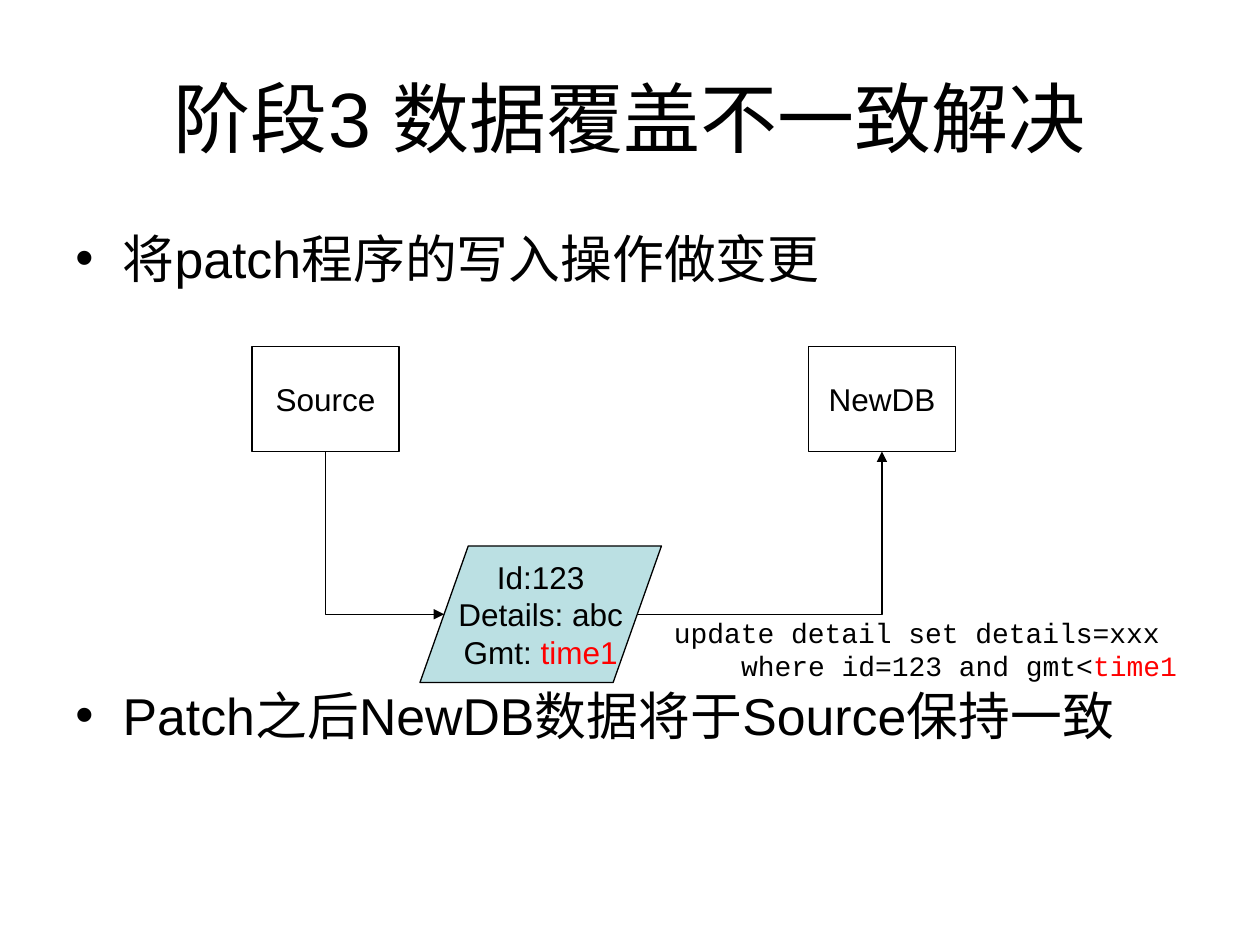
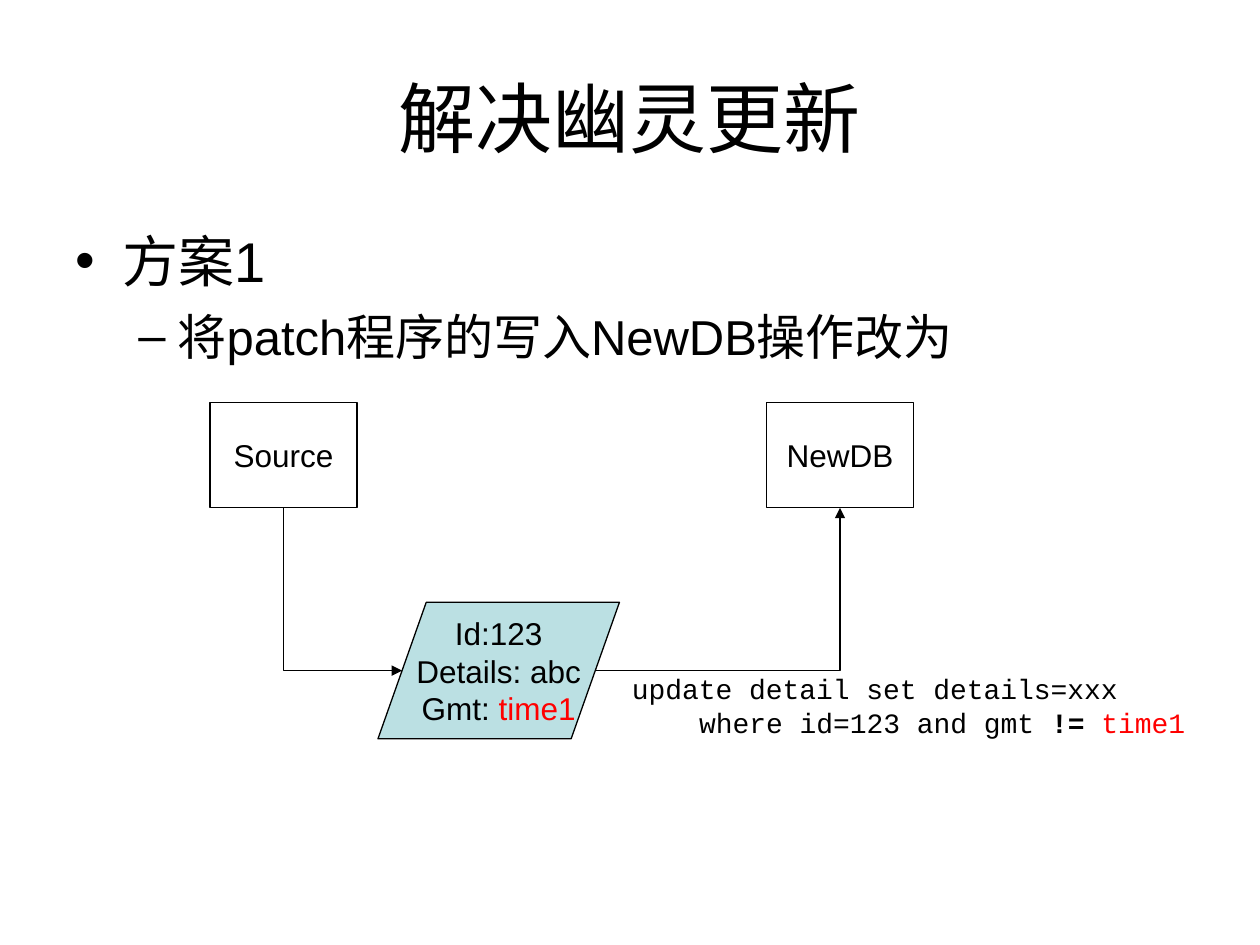
"""Two slides on how a patch write is guarded against overwriting newer data."""
from lxml import etree
from pptx import Presentation
from pptx import util as u
from pptx.dml.color import RGBColor
from pptx.enum import shapes, text
from pptx.oxml.ns import qn

Pt = u.Pt
COLOURS = {"ink": "000000", "accent": "FF0000", "data": "BBE0E3"}
SANS, MONO = "Arial", "Courier New"


def add_runs(paragraph, runs, size, font=SANS):
    for words, colour, bold in runs:
        run = paragraph.add_run()
        run.text = words
        run.font.name = font
        run.font.size = Pt(size)
        run.font.bold = bold
        run.font.color.rgb = RGBColor.from_string(COLOURS[colour])


def finish_arrow(connector):
    connector.line.color.rgb = RGBColor.from_string(COLOURS["ink"])
    connector.line.width = Pt(0.75)
    properties = connector._element.spPr
    properties.find(qn("a:prstGeom")).set("prst", "bentConnector2")
    etree.SubElement(properties.find(qn("a:ln")), qn("a:tailEnd"), type="triangle")
    etree.SubElement(properties, qn("a:effectLst"))


slides = [
    {
        "title": "阶段3 数据覆盖不一致解决",
        "points": [
            ("将patch程序的写入操作做变更", 29.6, 8, "•", 27, 27),
            ("Patch之后NewDB数据将于Source保持一致", 29.6, 225.5, "•", 27, 27),
        ],
        "diagram": (144, 198),
        "condition": [("where id=123 and gmt<", "ink", False), ("time1", "accent", False)],
        "statement_width": 306,
    },
    {
        "title": "解决幽灵更新",
        "points": [
            ("方案1", 32, 8, "•", 27, 27),
            ("将patch程序的写入NewDB操作改为", 28, 7, "–", 58.5, 22.5),
        ],
        "diagram": (120, 230.2),
        "condition": [("where id=123 and gmt ", "ink", False), ("!= ", "ink", True),
                      ("time1", "accent", False)],
        "statement_width": 342,
    },
]
record = [
    [("Id:123", "ink", False)],
    [("Details: abc", "ink", False)],
    [("Gmt: ", "ink", False), ("time1", "accent", False)],
]
RECT = shapes.MSO_SHAPE.RECTANGLE
DATA = shapes.MSO_SHAPE.FLOWCHART_DATA
nodes = [
    (RECT, 0, 0, 84, 60, None, [[("Source", "ink", False)]]),
    (RECT, 318, 0, 84, 60, None, [[("NewDB", "ink", False)]]),
    (DATA, 96, 114, 138, 78, "data", record),
]

deck = Presentation()
deck.slide_width, deck.slide_height = Pt(720), Pt(540)

for content in slides:
    slide = deck.slides.add_slide(deck.slide_layouts[5])
    title = slide.shapes.title
    title.left, title.top, title.width, title.height = Pt(36), Pt(21.6), Pt(648), Pt(90)
    title.text_frame.vertical_anchor = text.MSO_ANCHOR.MIDDLE
    heading = title.text_frame.paragraphs[0]
    heading.alignment = text.PP_ALIGN.CENTER
    add_runs(heading, [(content["title"], "ink", False)], 44)

    points = slide.shapes.add_textbox(Pt(36), Pt(126), Pt(648), Pt(356.4)).text_frame
    points.word_wrap = True
    for index, (words, size, before, bullet, margin, hang) in enumerate(content["points"]):
        point = points.add_paragraph() if index else points.paragraphs[0]
        point.space_before = Pt(before)
        add_runs(point, [(words, "ink", False)], size)
        layout = point._p.get_or_add_pPr()
        layout.set("marL", str(Pt(margin)))
        layout.set("indent", str(-Pt(hang)))
        etree.SubElement(layout, qn("a:buFont"), typeface=SANS)
        etree.SubElement(layout, qn("a:buChar"), char=bullet)

    left, top = content["diagram"]
    placed = []
    for outline, dx, dy, width, height, fill, lines in nodes:
        node = slide.shapes.add_shape(outline, Pt(left + dx), Pt(top + dy), Pt(width), Pt(height))
        node.shadow.inherit = False
        node.line.color.rgb = RGBColor.from_string(COLOURS["ink"])
        node.line.width = Pt(0.75)
        if fill:
            node.fill.solid()
            node.fill.fore_color.rgb = RGBColor.from_string(COLOURS[fill])
        else:
            node.fill.background()
        frame = node.text_frame
        frame.word_wrap = False
        frame.vertical_anchor = text.MSO_ANCHOR.MIDDLE
        for index, runs in enumerate(lines):
            line = frame.add_paragraph() if index else frame.paragraphs[0]
            line.alignment = text.PP_ALIGN.CENTER
            add_runs(line, runs, 18)
        placed.append(node)
    source, target, data = placed

    slant = data.width // 10
    start_x, start_y = source.left + source.width // 2, source.top + source.height
    entry_x, middle_y = data.left + slant, data.top + data.height // 2
    centre_x, centre_y = (start_x + entry_x) // 2, (start_y + middle_y) // 2
    half_drop, half_run = (middle_y - start_y) // 2, (entry_x - start_x) // 2
    read = slide.shapes.add_connector(
        shapes.MSO_CONNECTOR.ELBOW, centre_x + half_drop, centre_y - half_run,
        centre_x - half_drop, centre_y + half_run)
    read._element.spPr.find(qn("a:xfrm")).set("rot", str(270 * 60000))
    finish_arrow(read)

    write = slide.shapes.add_connector(
        shapes.MSO_CONNECTOR.ELBOW, data.left + data.width - slant, middle_y,
        target.left + target.width // 2, target.top + target.height)
    write.end_connect(target, 2)
    finish_arrow(write)

    statement = slide.shapes.add_textbox(
        Pt(left + 234), Pt(top + 150), Pt(content["statement_width"]), Pt(46)).text_frame
    statement.word_wrap = True
    update = statement.paragraphs[0]
    update.space_before = Pt(10)
    update._p.get_or_add_pPr().set("marL", str(Pt(38.4)))
    update._p.get_or_add_pPr().set("indent", str(-Pt(38.4)))
    add_runs(update, [("update detail set details=xxx", "ink", False)], 16, MONO)
    update.add_line_break()
    add_runs(update, content["condition"], 16, MONO)

deck.save("out.pptx")
